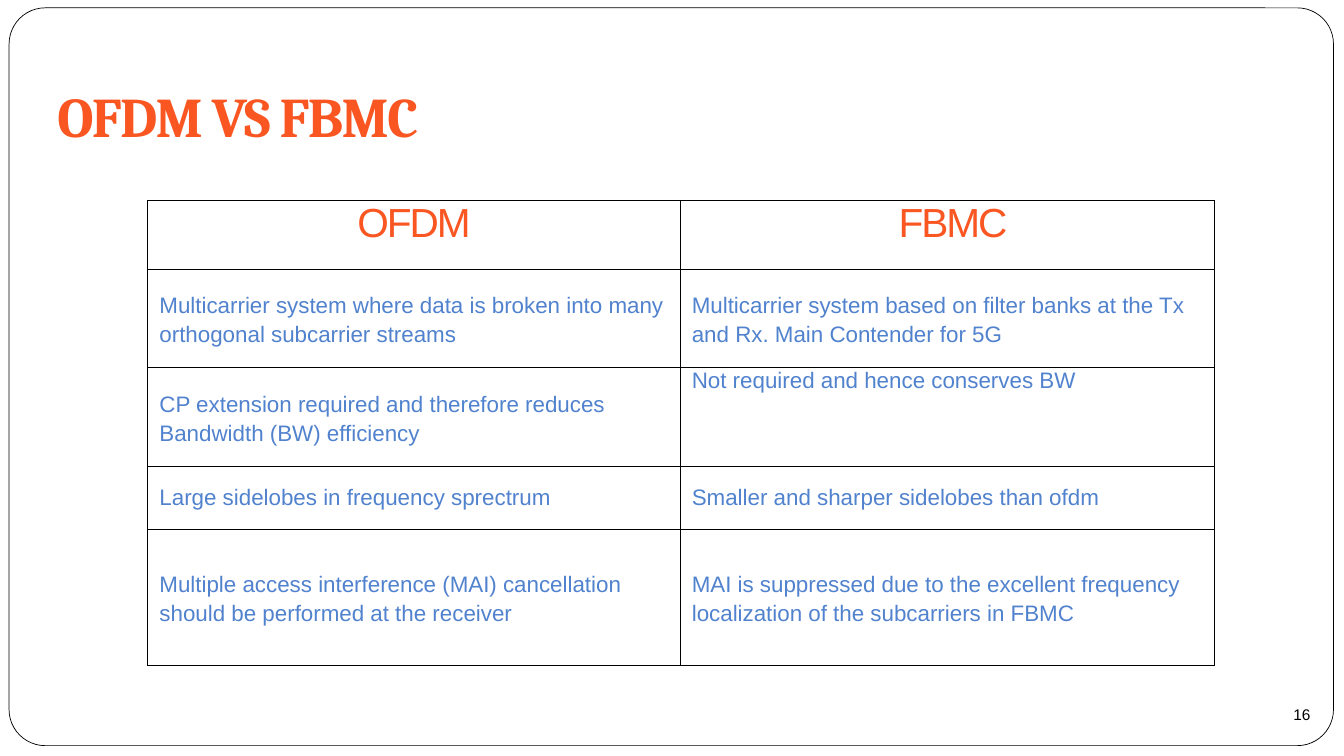
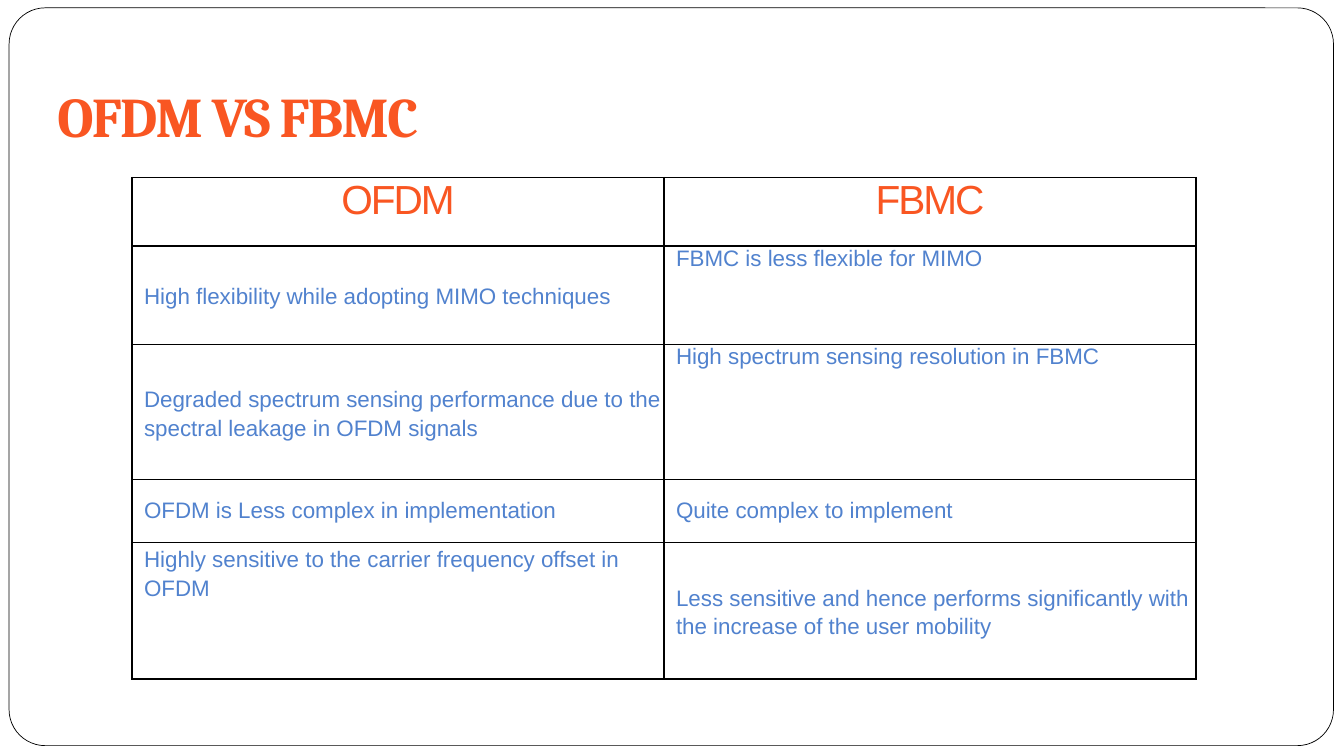
from dataclasses import dataclass
from typing import Optional

from lxml.etree import SubElement
from pptx import Presentation
from pptx.dml.color import RGBColor
from pptx.enum.shapes import MSO_SHAPE
from pptx.enum.text import MSO_ANCHOR, MSO_AUTO_SIZE, PP_ALIGN
from pptx.oxml.ns import qn
from pptx.slide import Slide, SlideLayout
from pptx.table import _Cell
from pptx.text.text import TextFrame
from pptx.util import Pt

COLOURS = {
    "background": "FFFFFF",
    "line": "000000",
    "heading": "F95622",
    "body": "5182CE",
    "number": "000000",
}
TITLE = "OFDM VS FBMC"
HEADINGS = ("OFDM", "FBMC")
HEADER_HEIGHT = 49
BORDER_WIDTH = 1


@dataclass(frozen=True)
class TextStyle:
    size: float
    colour: str
    font: str = "Arial"
    bold: bool = False
    spacing: float = 0
    alignment: PP_ALIGN = PP_ALIGN.LEFT


TITLE_STYLE = TextStyle(40, "heading", "Cambria", bold=True, spacing=-1.2)
HEADING_STYLE = TextStyle(29, "heading", spacing=-1.5, alignment=PP_ALIGN.CENTER)
BODY_STYLE = TextStyle(16, "body")
NUMBER_STYLE = TextStyle(11, "number")


@dataclass(frozen=True)
class Entry:
    """Text of one cell; line_spacing is in points."""
    text: str
    line_spacing: Optional[float] = None
    anchor: MSO_ANCHOR = MSO_ANCHOR.MIDDLE
    indent: float = 8.6
    style: TextStyle = BODY_STYLE


@dataclass(frozen=True)
class Row:
    height: float
    ofdm: Entry
    fbmc: Entry


@dataclass(frozen=True)
class Comparison:
    left: float
    top: float
    column_width: float
    heading_indents: tuple[float, float]
    rows: list[Row]
    number: Optional[str] = None


TOP = MSO_ANCHOR.TOP
NARROW = 7.9

COMPARISONS = [
    Comparison(105.3, 143.3, 381, (0, NARROW), [
        Row(70.5,
            Entry("Multicarrier system where data is broken into many orthogonal "
                  "subcarrier streams", 20.2),
            Entry("Multicarrier system based on filter banks at the Tx and Rx. "
                  "Main Contender for 5G", 20.2, indent=NARROW)),
        Row(70.5,
            Entry("CP extension required and therefore reduces Bandwidth (BW) efficiency", 21),
            Entry("Not required and hence conserves BW", anchor=TOP, indent=NARROW)),
        Row(45,
            Entry("Large sidelobes in frequency sprectrum"),
            Entry("Smaller and sharper sidelobes than ofdm", indent=NARROW)),
        Row(97.3,
            Entry("Multiple access interference (MAI) cancellation should be "
                  "performed at the receiver", 20.6),
            Entry("MAI is suppressed due to the excellent frequency localization "
                  "of the subcarriers in FBMC", 20.6, indent=NARROW)),
    ], number="16"),
    Comparison(94.3, 126.7, 380, (0, 0), [
        Row(70.5,
            Entry("High flexibility while adopting MIMO techniques", 20.2),
            Entry("FBMC is less flexible for MIMO", anchor=TOP)),
        Row(96.5,
            Entry("Degraded spectrum sensing performance due to the spectral "
                  "leakage in OFDM signals", 20.6),
            Entry("High spectrum sensing resolution in FBMC", anchor=TOP)),
        Row(45,
            Entry("OFDM is Less complex in implementation"),
            Entry("Quite complex to implement")),
        Row(97.3,
            Entry("Highly sensitive to the carrier frequency offset in OFDM", 21, TOP),
            Entry("Less sensitive and hence performs significantly with the "
                  "increase of the user mobility", 20.6)),
    ]),
]


def colour(name: str) -> RGBColor:
    return RGBColor.from_string(COLOURS[name])


def write_text(frame: TextFrame, text: str, style: TextStyle,
               line_spacing: Optional[float] = None) -> None:
    frame.text = text
    paragraph = frame.paragraphs[0]
    paragraph.alignment = style.alignment
    if line_spacing:
        paragraph.line_spacing = Pt(line_spacing)
    font = paragraph.font
    font.name, font.size, font.bold = style.font, Pt(style.size), style.bold
    font.color.rgb = colour(style.colour)
    if style.spacing:
        font._element.set("spc", str(round(style.spacing * 100)))


def clear_margins(area: TextFrame | _Cell) -> None:
    area.margin_left = area.margin_top = area.margin_right = area.margin_bottom = 0


def add_frame(slide: Slide) -> None:
    """Draw the rounded page outline behind everything else."""
    shape = slide.shapes.add_shape(
        MSO_SHAPE.ROUNDED_RECTANGLE, Pt(6.5), Pt(5.6), Pt(946), Pt(527))
    shape.adjustments[0] = 0.049
    shape.shadow.inherit = False
    shape.fill.solid()
    shape.fill.fore_color.rgb = colour("background")
    shape.line.color.rgb = colour("line")
    shape.line.width = Pt(0.5)
    slide.shapes.element.insert(2, shape.element)


def add_title(slide: Slide) -> None:
    title = slide.shapes.title
    title.left, title.top, title.width, title.height = Pt(41), Pt(58.3), Pt(358.5), Pt(36.7)
    frame = title.text_frame
    clear_margins(frame)
    frame.word_wrap = True
    frame.auto_size = MSO_AUTO_SIZE.NONE
    frame.vertical_anchor = MSO_ANCHOR.TOP
    write_text(frame, TITLE, TITLE_STYLE)


def add_borders(cell: _Cell) -> None:
    properties = cell._tc.get_or_add_tcPr()
    for side in ("a:lnL", "a:lnR", "a:lnT", "a:lnB"):
        line = SubElement(properties, qn(side), w=str(Pt(BORDER_WIDTH)))
        fill = SubElement(line, qn("a:solidFill"))
        SubElement(fill, qn("a:srgbClr"), val=COLOURS["line"])


def fill_cell(cell: _Cell, entry: Entry) -> None:
    clear_margins(cell)
    cell.margin_left = Pt(entry.indent)
    cell.vertical_anchor = entry.anchor
    add_borders(cell)
    cell.fill.solid()
    cell.fill.fore_color.rgb = colour("background")
    write_text(cell.text_frame, entry.text, entry.style, entry.line_spacing)


def add_comparison_table(slide: Slide, comparison: Comparison) -> None:
    headings = [Entry(text, anchor=TOP, indent=indent, style=HEADING_STYLE)
                for text, indent in zip(HEADINGS, comparison.heading_indents)]
    rows = [Row(HEADER_HEIGHT, *headings), *comparison.rows]
    table = slide.shapes.add_table(
        len(rows), len(HEADINGS), Pt(comparison.left), Pt(comparison.top),
        Pt(comparison.column_width * len(HEADINGS)),
        Pt(sum(row.height for row in rows))).table
    table.first_row = table.horz_banding = False
    for column in table.columns:
        column.width = Pt(comparison.column_width)
    for index, row in enumerate(rows):
        table.rows[index].height = Pt(row.height)
        fill_cell(table.cell(index, 0), row.ofdm)
        fill_cell(table.cell(index, 1), row.fbmc)


def add_slide_number(slide: Slide, number: str) -> None:
    frame = slide.shapes.add_textbox(Pt(923.8), Pt(503.3), Pt(15), Pt(13)).text_frame
    clear_margins(frame)
    frame.word_wrap = True
    write_text(frame, number, NUMBER_STYLE)


def add_comparison_slide(presentation: Presentation, layout: SlideLayout,
                         comparison: Comparison) -> None:
    slide = presentation.slides.add_slide(layout)
    add_frame(slide)
    add_title(slide)
    add_comparison_table(slide, comparison)
    if comparison.number:
        add_slide_number(slide, comparison.number)


def main() -> None:
    presentation = Presentation()
    presentation.slide_width, presentation.slide_height = Pt(960), Pt(540)
    title_only = presentation.slide_layouts.get_by_name("Title Only")
    for comparison in COMPARISONS:
        add_comparison_slide(presentation, title_only, comparison)
    presentation.save("out.pptx")


if __name__ == "__main__":
    main()
